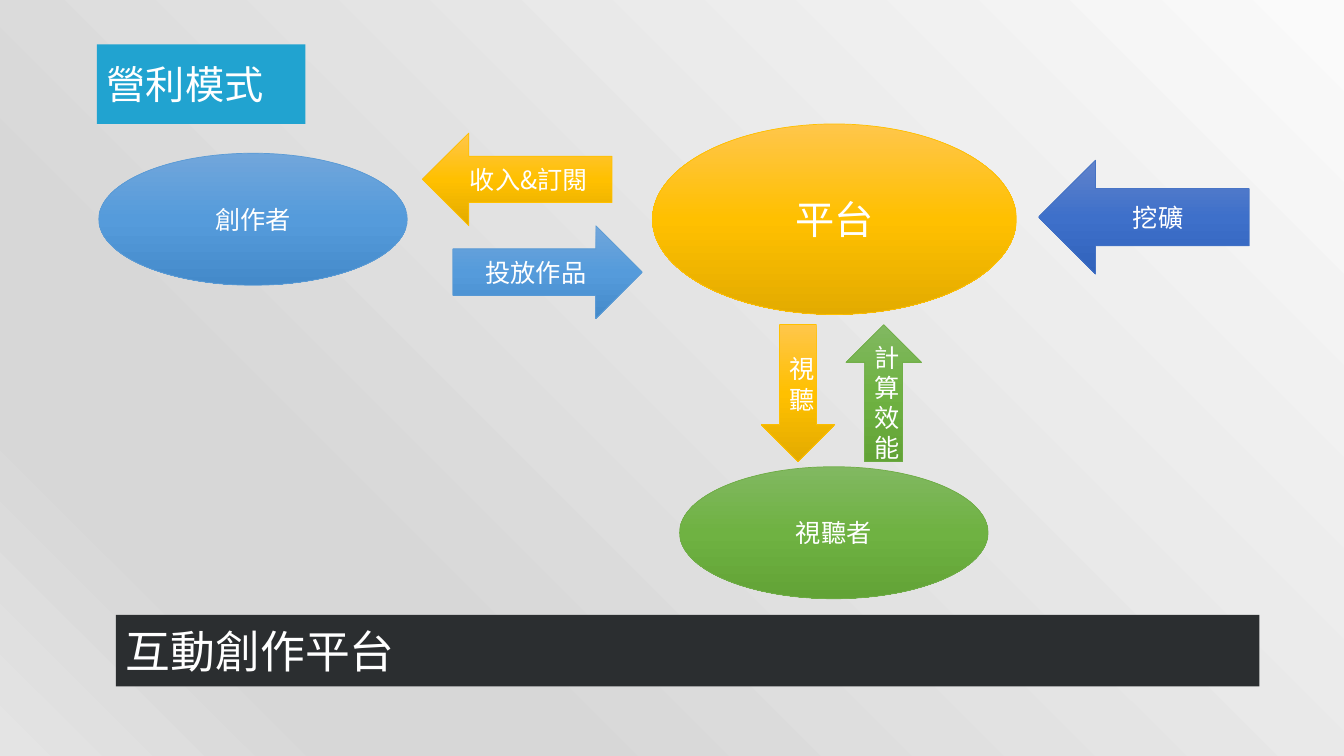
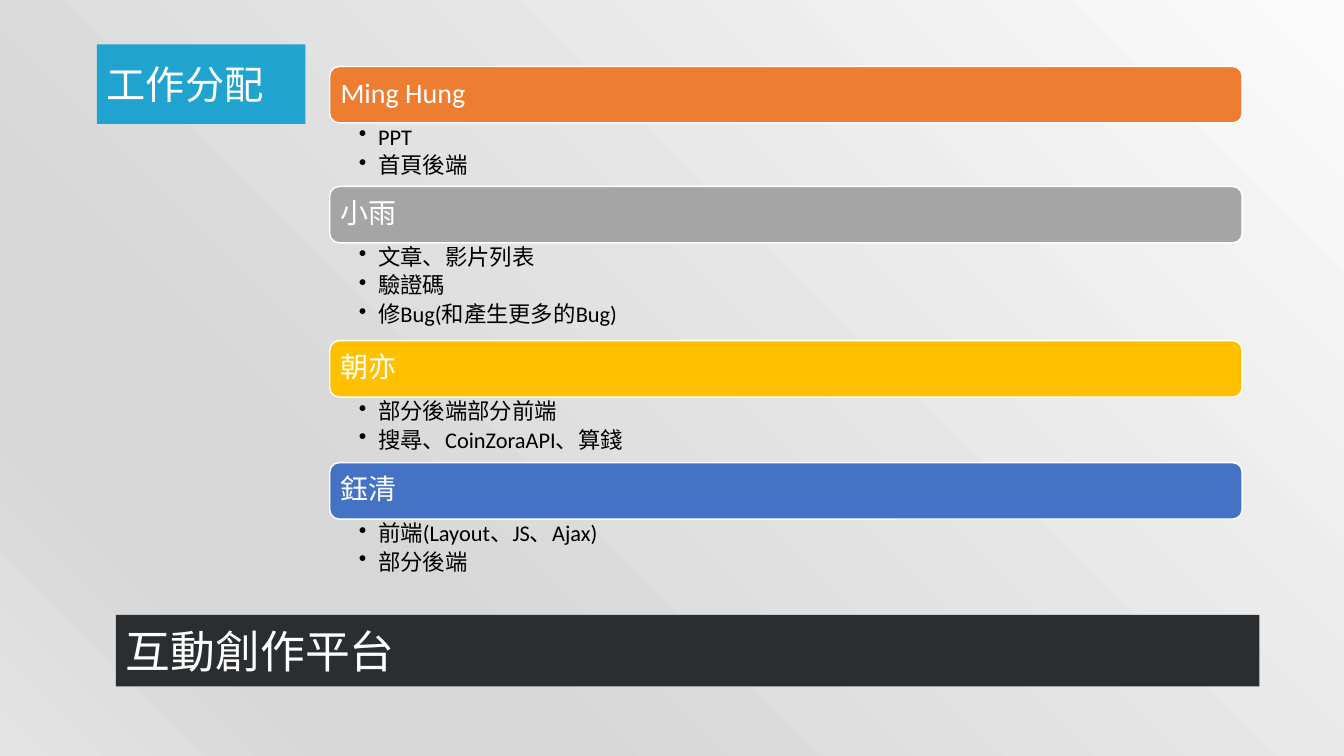
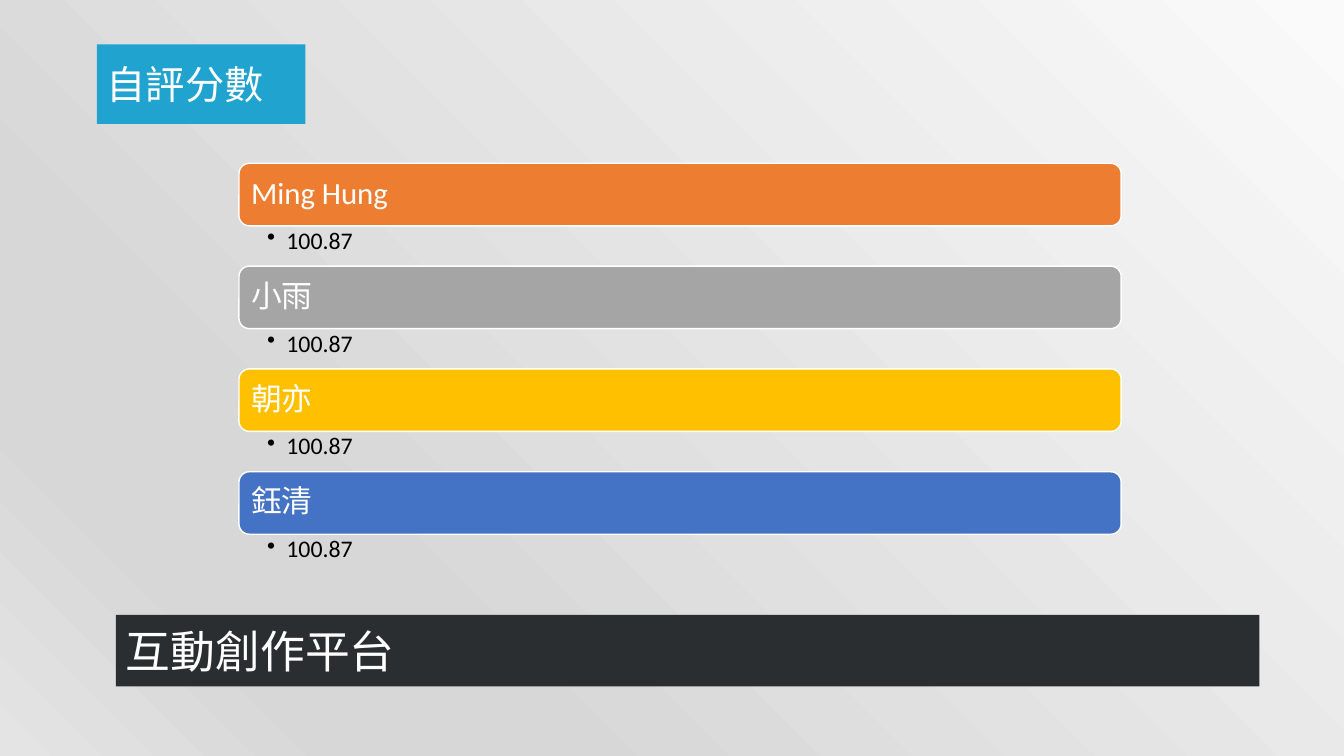
import dataclasses
import typing

import lxml.etree
import pptx
import pptx.dml.color
import pptx.enum.shapes
import pptx.enum.text
import pptx.oxml.ns
import pptx.util

Inches = pptx.util.Inches
Pt = pptx.util.Pt
Align = pptx.enum.text.PP_ALIGN
Anchor = pptx.enum.text.MSO_ANCHOR
Form = pptx.enum.shapes.MSO_SHAPE
qn = pptx.oxml.ns.qn
Box = tuple[float, float, float, float]
Stops = tuple[tuple[int, str], ...]


@dataclasses.dataclass(frozen=True)
class Tone:
    line: str
    stops: Stops


def blend(line: str, top: str, mid: str, base: str) -> Tone:
    return Tone(line, ((0, top), (50, mid), (100, base)))


@dataclasses.dataclass(frozen=True)
class Theme:
    cjk: str = "Noto Sans CJK SC"
    latin: str = "Calibri"
    white: str = "FFFFFF"
    black: str = "000000"
    band: str = "2B2E30"
    title: str = "21A3D0"
    back: Stops = ((0, "FAFAFA"), (74, "D7D7D7"), (83, "D7D7D7"), (100, "E4E4E4"))
    bars: tuple[str, ...] = ("ED7D31", "A5A5A5", "FFC000", "4472C4")
    gold: Tone = blend("FFC000", "FFC64B", "FFC000", "E3AB00")
    sky: Tone = blend("5B9BD5", "71A6DB", "559BDB", "448ACA")
    green: Tone = blend("70AD47", "81B861", "6FB242", "62A336")
    blue: Tone = blend("4472C4", "6183CB", "3E70CA", "3062BB")
    foot_size: int = 32
    head_size: int = 28
    node_size: int = 18
    task_sizes: tuple[int, int] = (20, 16)
    score_sizes: tuple[int, int] = (22, 17)


THEME = Theme()


@dataclasses.dataclass(frozen=True)
class Node:
    text: str
    form: Form
    box: Box
    tone: Tone
    size: int = THEME.node_size


@dataclasses.dataclass(frozen=True)
class Part:
    name: str
    items: tuple[str, ...]
    tall: float


@dataclasses.dataclass(frozen=True)
class Plan:
    left: float
    top: float
    width: float
    bar: float
    pad: float
    inset: Box
    sizes: tuple[int, int]


NODES = (
    Node("平台", Form.OVAL, (6.47, 1.23, 3.61, 1.89), THEME.gold, THEME.head_size),
    Node("創作者", Form.OVAL, (0.98, 1.52, 3.06, 1.31), THEME.sky),
    Node("視聽者", Form.OVAL, (6.74, 4.63, 3.06, 1.31), THEME.green),
    Node("投放作品", Form.RIGHT_ARROW, (4.49, 2.24, 1.88, 0.92), THEME.sky),
    Node("收入&訂閱", Form.LEFT_ARROW, (4.19, 1.32, 1.88, 0.92), THEME.gold),
    Node("計算效能", Form.UP_ARROW, (8.39, 3.22, 0.75, 1.36), THEME.green),
    Node("視聽", Form.DOWN_ARROW, (7.55, 3.22, 0.73, 1.36), THEME.gold),
    Node("挖礦", Form.LEFT_ARROW, (10.3, 1.59, 2.09, 1.13), THEME.blue),
)

TASKS = (
    Part("Ming Hung", ("PPT", "首頁後端"), 0.63),
    Part("小雨", ("文章、影片列表", "驗證碼", "修Bug(和產生更多的Bug)"), 0.97),
    Part("朝亦", ("部分後端部分前端", "搜尋、CoinZoraAPI、算錢"), 0.65),
    Part("鈺清", ("前端(Layout、JS、Ajax)", "部分後端"), 0.65),
)
SCORES = tuple(Part(task.name, ("100.87",), 0.4) for task in TASKS)

TASK_PLAN = Plan(3.27, 0.66, 9.05, 0.56, 0.08,
                 (0.29, 0.03, 0.16, 0.03), THEME.task_sizes)
SCORE_PLAN = Plan(2.37, 1.62, 8.75, 0.62, 0.09,
                  (0.28, 0.03, 0.17, 0.03), THEME.score_sizes)


def apply(target: typing.Any, values: dict[str, typing.Any]) -> None:
    for key, value in values.items():
        setattr(target, key, value)


def rgb(code: str) -> pptx.dml.color.RGBColor:
    return pptx.dml.color.RGBColor.from_string(code)


def place(box: Box) -> list[pptx.util.Length]:
    return [Inches(size) for size in box]


def paint(shape: typing.Any, code: str) -> None:
    shape.fill.solid()
    shape.fill.fore_color.rgb = rgb(code)


def shade(fill: typing.Any, root: typing.Any, stops: Stops, angle: int) -> None:
    fill.gradient()
    fill.gradient_angle = angle
    ramp = root.xpath(".//a:gsLst")[0]
    for old in list(ramp):
        ramp.remove(old)
    for spot, code in stops:
        stop = lxml.etree.SubElement(ramp, qn("a:gs"), pos=str(spot * 1000))
        lxml.etree.SubElement(stop, qn("a:srgbClr"), val=code)


def edge(shape: typing.Any, code: str, width: float) -> None:
    shape.line.color.rgb = rgb(code)
    shape.line.width = Pt(width)


def write(shape: typing.Any, lines: typing.Sequence[str], size: int, align: Align,
          anchor: Anchor = Anchor.MIDDLE, code: str = THEME.white,
          face: str = THEME.cjk, inset: Box = (0.1, 0.05, 0.1, 0.05)) -> None:
    frame = shape.text_frame
    left, top, right, base = place(inset)
    apply(frame, {
        "word_wrap": True,
        "auto_size": pptx.enum.text.MSO_AUTO_SIZE.NONE,
        "vertical_anchor": anchor,
        "margin_left": left,
        "margin_top": top,
        "margin_right": right,
        "margin_bottom": base,
    })
    for index, line in enumerate(lines):
        para = frame.add_paragraph() if index else frame.paragraphs[0]
        apply(para, {"alignment": align, "line_spacing": 0.9})
        run = para.add_run()
        run.text = line
        apply(run.font, {"size": Pt(size), "name": face})
        run.font.color.rgb = rgb(code)
    for props in shape.element.iter(qn("a:rPr")):
        lxml.etree.SubElement(props, qn("a:ea"), typeface=THEME.cjk)


def dot(shape: typing.Any) -> None:
    for props in shape.element.iter(qn("a:pPr")):
        props.set("marL", str(Inches(0.19)))
        props.set("indent", str(-Inches(0.19)))
        after = lxml.etree.SubElement(props, qn("a:spcAft"))
        lxml.etree.SubElement(after, qn("a:spcPct"), val="20000")
        lxml.etree.SubElement(props, qn("a:buChar"), char="•")


def block(slide: typing.Any, form: Form, box: Box) -> typing.Any:
    shape = slide.shapes.add_shape(form, *place(box))
    shape.shadow.inherit = False
    return shape


def start(deck: typing.Any, title: str) -> typing.Any:
    slide = deck.slides.add_slide(deck.slide_layouts.get_by_name("Title Only"))
    head = slide.shapes.title
    left, top, width, height = place((0.96, 0.44, 2.07, 0.79))
    apply(head, {"left": left, "top": top, "width": width, "height": height})
    paint(head, THEME.title)
    write(head, [title], THEME.head_size, Align.JUSTIFY)
    band = block(slide, Form.RECTANGLE, (1.15, 6.1, 11.34, 0.71))
    paint(band, THEME.band)
    band.line.fill.background()
    write(band, ["互動創作平台"], THEME.foot_size, Align.JUSTIFY)
    for shape in (head, band):
        shape.text_frame.paragraphs[0].line_spacing = 1.0
    return slide


def draw(slide: typing.Any, node: Node) -> None:
    shape = block(slide, node.form, node.box)
    shade(shape.fill, shape.element, node.tone.stops, 270)
    edge(shape, node.tone.line, 0.5)
    write(shape, [node.text], node.size, Align.CENTER)
    shape.text_frame.paragraphs[0].line_spacing = 1.0


def stack(slide: typing.Any, parts: tuple[Part, ...], plan: Plan) -> None:
    top = plan.top
    name_size, item_size = plan.sizes
    for part, code in zip(parts, THEME.bars):
        bar = block(slide, Form.ROUNDED_RECTANGLE,
                    (plan.left, top, plan.width, plan.bar))
        paint(bar, code)
        edge(bar, THEME.white, 1)
        write(bar, [part.name], name_size, Align.LEFT,
              face=THEME.latin, inset=(plan.pad,) * 4)
        top += plan.bar
        body = slide.shapes.add_textbox(
            *place((plan.left, top, plan.width, part.tall)))
        write(body, part.items, item_size, Align.LEFT, Anchor.TOP,
              THEME.black, THEME.latin, plan.inset)
        dot(body)
        top += part.tall


def main() -> None:
    deck = pptx.Presentation()
    apply(deck, {"slide_width": Inches(13.33), "slide_height": Inches(7.5)})
    master = deck.slide_master
    shade(master.background.fill, master.element, THEME.back, 225)
    model = start(deck, "營利模式")
    for node in NODES:
        draw(model, node)
    stack(start(deck, "工作分配"), TASKS, TASK_PLAN)
    stack(start(deck, "自評分數"), SCORES, SCORE_PLAN)
    deck.save("out.pptx")


if __name__ == "__main__":
    main()
